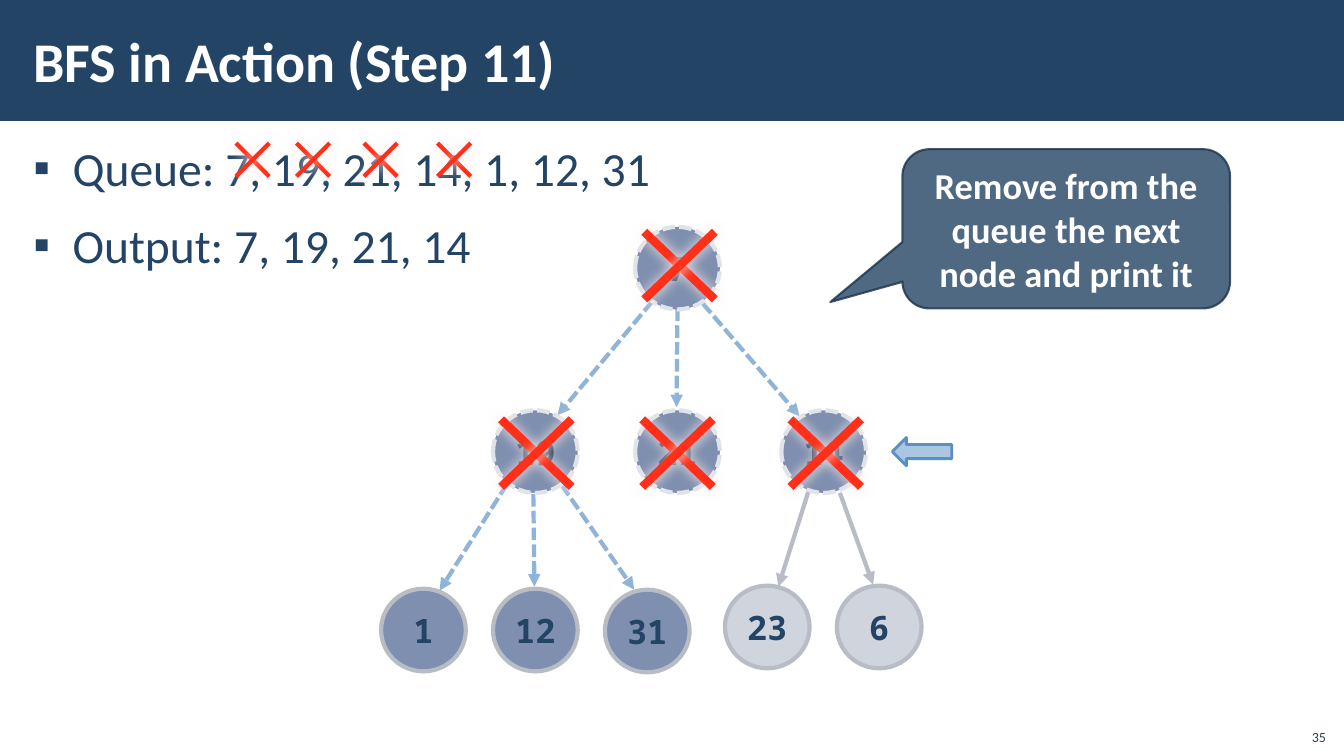
from pptx import Presentation
from pptx.dml.color import RGBColor
from pptx.enum.dml import MSO_LINE
from pptx.enum.shapes import MSO_CONNECTOR, MSO_SHAPE
from pptx.enum.text import MSO_ANCHOR as ANCHOR, MSO_AUTO_SIZE, PP_ALIGN as ALIGN
from pptx.oxml.ns import qn
from pptx.util import Inches, Pt
from lxml.etree import SubElement

COLUMNS, ROWS = 13.33, 7.5
WIDTH, HEIGHT = Inches(13.33), Inches(7.5)
NODE_SIZE = (0.84, 0.82)
COLORS = {
    "navy": "234465", "dark": "1A334C", "white": "FFFFFF", "edge": "90B4D8",
    "visited": "7F8FAF", "halo": "E0E3E9", "queued": "002060", "waiting": "A3ABBC",
    "gray": "B8BCC4", "cross": "FF2F19", "glow": "FFEDEB", "pointer": "588FC5",
}
NODE_STYLES = {
    "visited": {"fill": "visited", "line": "halo", "dashed": True, "text": "dark"},
    "queued": {"fill": "queued", "line": "gray", "alpha": 50, "text": "navy"},
    "waiting": {"fill": "waiting", "line": "gray", "alpha": 50, "text": "navy"},
}
NODES = [
    ("7", 6.3, 2.25, "visited"), ("19", 4.89, 4.07, "visited"),
    ("21", 6.3, 4.07, "visited"), ("14", 7.75, 4.07, "visited"),
    ("1", 3.78, 5.84, "queued"), ("12", 4.89, 5.84, "queued"),
    ("31", 6, 5.85, "queued"), ("23", 7.19, 5.81, "waiting"),
    ("6", 8.3, 5.81, "waiting"),
]
VISITED_EDGES = [
    (6.47, 2.99, 5.53, 4.12), (6.72, 3.06, 6.71, 4.04), (6.97, 3.01, 7.93, 4.13),
    (5.03, 4.8, 4.36, 5.86), (5.29, 4.9, 5.3, 5.82), (5.57, 4.81, 6.29, 5.85),
]
WAITING_EDGES = [(8.02, 4.87, 7.72, 5.82), (8.33, 4.89, 8.66, 5.8)]
QUEUE_CROSSES = [(2.34, 1.42), (2.94, 1.42), (3.61, 1.42), (4.34, 1.42)]
NODE_CROSSES = [(6.39, 2.3), (4.97, 4.16), (6.37, 4.16), (7.84, 4.16)]


def place(columns, rows):
    return round(WIDTH * columns / COLUMNS), round(HEIGHT * rows / ROWS)


def box(left, top, width, height):
    return place(left, top) + place(width, height)


def color(name):
    return RGBColor.from_string(COLORS[name])


def apply_values(target, values):
    for name, value in values.items():
        setattr(target, name, value)


def set_alpha(fill_parent, percent):
    for node in fill_parent.iter(qn("a:srgbClr")):
        SubElement(node, qn("a:alpha"), val=str(percent * 1000))


def move(shape, *bounds):
    names = ("left", "top", "width", "height")
    apply_values(shape, dict(zip(names, box(*bounds))))


def write(shape, lines, size, text_color, bold=False, font="Calibri", frame=None, **layout):
    text_frame = shape.text_frame
    values = {"word_wrap": True, "auto_size": MSO_AUTO_SIZE.NONE,
              "vertical_anchor": ANCHOR.MIDDLE}
    apply_values(text_frame, values | (frame or {}))
    text_frame.text = "\n".join(lines)
    for paragraph in text_frame.paragraphs:
        apply_values(paragraph, layout)
        for run in paragraph.runs:
            apply_values(run.font, {"size": Pt(size), "bold": bold, "name": font})
            run.font.color.rgb = color(text_color)


def add_figure(slide, kind, bounds, fill, line=None, weight=3, dashed=False,
               alpha=100, line_alpha=100):
    shape = slide.shapes.add_shape(kind, *box(*bounds))
    shape.shadow.inherit = False
    shape.fill.solid()
    shape.fill.fore_color.rgb = color(fill)
    if alpha < 100:
        set_alpha(shape.fill._xPr.find(qn("a:solidFill")), alpha)
    if not line:
        shape.line.fill.background()
        return shape
    shape.line.color.rgb = color(line)
    shape.line.width = Pt(weight)
    if dashed:
        shape.line.dash_style = MSO_LINE.SQUARE_DOT
    if line_alpha < 100:
        set_alpha(shape.line._get_or_add_ln(), line_alpha)
    return shape


def add_line(shapes, points, line, weight=3, dashed=False, arrow=False, glow=False):
    connector = shapes.add_connector(
        MSO_CONNECTOR.STRAIGHT, *place(*points[:2]), *place(*points[2:]))
    connector.line.color.rgb = color(line)
    connector.line.width = Pt(weight)
    if dashed:
        connector.line.dash_style = MSO_LINE.SQUARE_DOT
    if arrow:
        SubElement(connector.line._get_or_add_ln(), qn("a:tailEnd"), type="triangle")
    effects = SubElement(connector._element.spPr, qn("a:effectLst"))
    if glow:
        shadow = SubElement(effects, qn("a:outerShdw"), blurRad=str(Pt(10)),
                            dist="0", dir="5400000", algn="ctr", rotWithShape="0")
        SubElement(shadow, qn("a:srgbClr"), val=COLORS["glow"])


def add_cross(slide, left, top, width, height, weight):
    right, bottom = left + width, top + height
    group = slide.shapes.add_group_shape()
    for points in ((left, top, right, bottom), (right, top, left, bottom)):
        add_line(group.shapes, points, "cross", weight, glow=True)


def add_node(slide, label, left, top, state):
    style = dict(NODE_STYLES[state])
    text_color = style.pop("text")
    node = add_figure(slide, MSO_SHAPE.OVAL, (left, top, *NODE_SIZE), **style)
    write(node, [label], 24, text_color, True, "Noto Sans Mono",
          {"word_wrap": False}, alignment=ALIGN.CENTER)


def add_header(slide):
    bar = add_figure(slide, MSO_SHAPE.RECTANGLE, (0, 0, COLUMNS, 1.2), "navy")
    slide.shapes._spTree.insert(2, bar._element)
    title = slide.shapes.title
    move(title, 0.21, 0.11, 10.63, 0.97)
    write(title, ["BFS in Action (Step 11)"], 40, "white", True,
          frame={"margin_left": Inches(0.12)}, alignment=ALIGN.LEFT)


def add_lists(slide):
    body = slide.placeholders[1]
    move(body, 0.21, 1.31, 12.92, 6.05)
    write(body, ["Queue: 7, 19, 21, 14, 1, 12, 31", "Output: 7, 19, 21, 14"], 34, "navy",
          frame={"vertical_anchor": ANCHOR.TOP, "margin_left": Inches(0.12),
                 "margin_top": Inches(0.04)},
          line_spacing=1.05, space_before=Pt(6), space_after=Pt(6))
    for paragraph in body.text_frame.paragraphs:
        properties = paragraph._p.get_or_add_pPr()
        properties.set("marL", str(Inches(0.39)))
        properties.set("indent", str(-Inches(0.39)))
        SubElement(properties, qn("a:buChar"), char="▪")


def add_tree(slide):
    for points in VISITED_EDGES:
        add_line(slide.shapes, points, "edge", dashed=True, arrow=True)
    for points in WAITING_EDGES:
        add_line(slide.shapes, points, "gray", arrow=True)
    for node in NODES:
        add_node(slide, *node)


def add_callout(slide):
    callout = add_figure(slide, MSO_SHAPE.ROUNDED_RECTANGULAR_CALLOUT,
                         (8.95, 1.48, 3.25, 1.58), "navy", "dark", 1.5,
                         alpha=80, line_alpha=80)
    for index, value in enumerate((-0.72, 0.46, 0.17)):
        callout.adjustments[index] = value
    write(callout, ["Remove from the queue the next node and print it"], 26, "white",
          True, alignment=ALIGN.CENTER)


def add_page_number(slide):
    number = slide.shapes.add_textbox(*box(12.85, 7.12, 0.4, 0.32))
    write(number, ["35"], 10, "navy", frame={"vertical_anchor": ANCHOR.BOTTOM},
          alignment=ALIGN.RIGHT)


def main():
    presentation = Presentation()
    apply_values(presentation, {"slide_width": WIDTH, "slide_height": HEIGHT})
    slide = presentation.slides.add_slide(presentation.slide_layouts[1])
    add_header(slide)
    add_lists(slide)
    add_tree(slide)
    for left, top in QUEUE_CROSSES:
        add_cross(slide, left, top, 0.33, 0.33, 3)
    for left, top in NODE_CROSSES:
        add_cross(slide, left, top, 0.7, 0.67, 6)
    add_figure(slide, MSO_SHAPE.LEFT_ARROW, (8.85, 4.34, 0.59, 0.28),
               "pointer", "pointer", 2, alpha=50)
    add_callout(slide)
    add_page_number(slide)
    presentation.save("out.pptx")


main()
